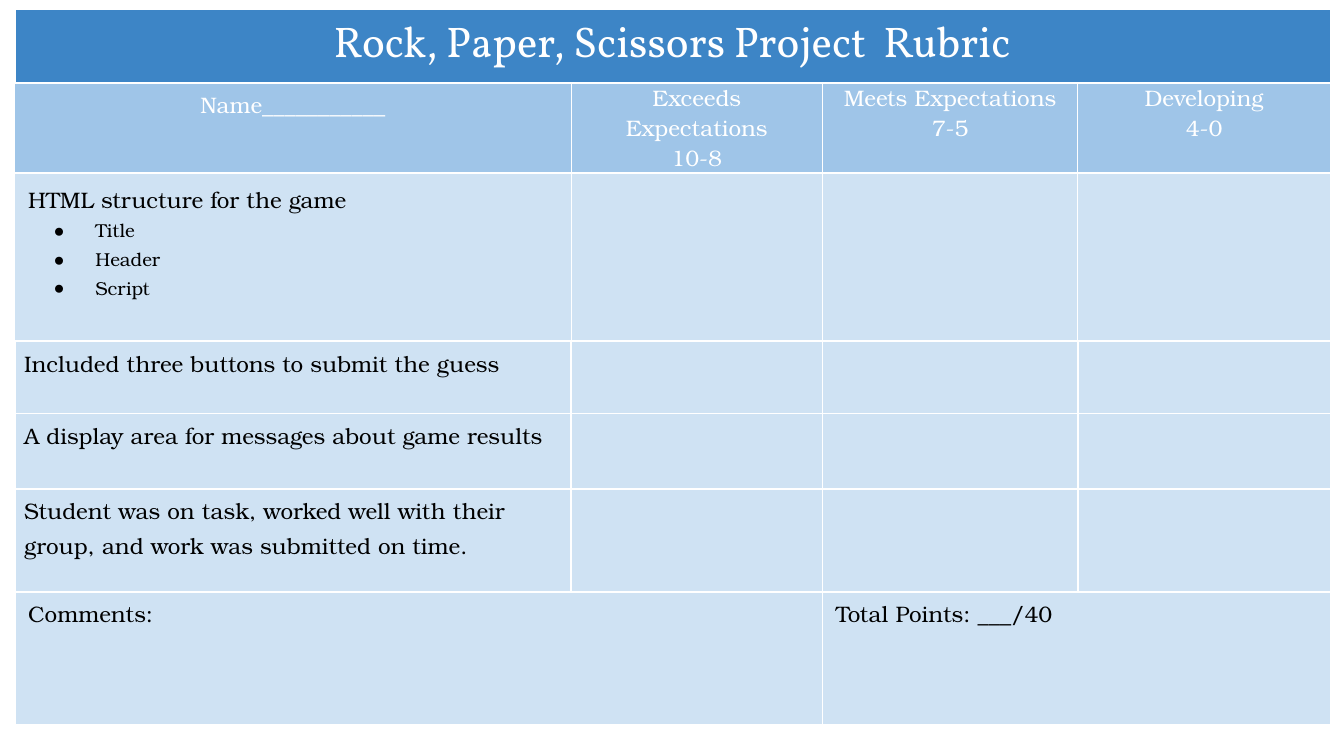
from dataclasses import dataclass

from lxml import etree
from pptx import Presentation
from pptx.dml.color import RGBColor
from pptx.enum.text import MSO_ANCHOR, PP_ALIGN
from pptx.oxml.ns import qn
from pptx.util import Inches, Pt

CENTER, LEFT = PP_ALIGN.CENTER, PP_ALIGN.LEFT
TOP = MSO_ANCHOR.TOP

WHITE = RGBColor(0xFF, 0xFF, 0xFF)
BLACK = RGBColor(0x00, 0x00, 0x00)
TITLE_BLUE = RGBColor(0x3D, 0x85, 0xC6)
HEADER_BLUE = RGBColor(0x9F, 0xC5, 0xE8)
BODY_BLUE = RGBColor(0xCF, 0xE2, 0xF3)

TITLE_FONT = "Vollkorn"
BODY_FONT = "TeX Gyre Bonum"

SLIDE_WIDTH = 10
SLIDE_HEIGHT = SLIDE_WIDTH * 9 / 16
COL_WIDTHS = [4.14, 1.87, 1.9, 1.88]
ROW_HEIGHTS = [0.54, 0.67, 1.25, 0.54, 0.56, 0.77, 0.99]
TABLE_LEFT, TABLE_TOP = 0.11, 0.07
WIDE = (0.1, 0.05)
TIGHT = (0.07, 0)
CRITERION = (0.07, 0.02)


@dataclass
class RubricCell:
    row: int
    col: int
    text: str
    inset: tuple[float, float] = WIDE
    align: PP_ALIGN = LEFT
    color: RGBColor = BLACK
    font: str = BODY_FONT
    size: float = 12
    spacing: float = 1.0
    span: int = 1
    bullets: tuple[str, ...] = ()


CELLS = [
    RubricCell(0, 0, "Rock, Paper, Scissors Project  Rubric", align=CENTER,
               color=WHITE, font=TITLE_FONT, size=23, span=4),
    RubricCell(1, 0, "Name___________", align=CENTER, color=WHITE),
    RubricCell(2, 0, "HTML structure for the game", spacing=1.15,
               bullets=("Title", "Header", "Script")),
    RubricCell(6, 0, "Comments:", span=2),
    RubricCell(6, 2, "Total Points: ___/40", span=2),
]
LEVELS = ["Exceeds Expectations\n10-8", "Meets Expectations\n7-5", "Developing\n4-0"]
CRITERIA = [
    "Included three buttons to submit the guess",
    "A display area for messages about game results",
    "Student was on task, worked well with their group, and work was submitted on time.",
]
CELLS += [RubricCell(1, i, text, TIGHT, CENTER, WHITE)
          for i, text in enumerate(LEVELS, 1)]
CELLS += [RubricCell(i, 0, text, CRITERION, spacing=1.15)
          for i, text in enumerate(CRITERIA, 3)]


def style_cell(cell, fill: RGBColor, border: float) -> None:
    tcPr = cell._tc.get_or_add_tcPr()
    for side in ("lnL", "lnR", "lnT", "lnB"):
        ln = etree.SubElement(tcPr, qn(f"a:{side}"), w=str(Pt(border)))
        solid = etree.SubElement(ln, qn("a:solidFill"))
        etree.SubElement(solid, qn("a:srgbClr"), val=str(WHITE))
    cell.fill.solid()
    cell.fill.fore_color.rgb = fill


def add_bullet(p) -> None:
    pPr = p._p.get_or_add_pPr()
    pPr.set("marL", str(Inches(0.5)))
    pPr.set("indent", str(Inches(-0.32)))
    color = etree.SubElement(pPr, qn("a:buClr"))
    etree.SubElement(color, qn("a:srgbClr"), val=str(BLACK))
    etree.SubElement(pPr, qn("a:buFont"), typeface=BODY_FONT)
    etree.SubElement(pPr, qn("a:buChar"), char="●")


def write_cell(table, item: RubricCell) -> None:
    cell = table.cell(item.row, item.col)
    if item.span > 1:
        cell.merge(table.cell(item.row, item.col + item.span - 1))
    cell.vertical_anchor = TOP
    cell.margin_left = cell.margin_right = Inches(item.inset[0])
    cell.margin_top = cell.margin_bottom = Inches(item.inset[1])
    tf = cell.text_frame
    tf.text = "\n".join((item.text, *item.bullets))
    first_bullet = len(tf.paragraphs) - len(item.bullets)
    for i, p in enumerate(tf.paragraphs):
        p.alignment = item.align
        p.line_spacing = item.spacing
        is_bullet = i >= first_bullet
        if is_bullet:
            add_bullet(p)
        for r in p.runs:
            r.font.name = item.font
            r.font.size = Pt(10 if is_bullet else item.size)
            r.font.color.rgb = item.color


def add_rubric(slide) -> None:
    frame = slide.shapes.add_table(
        len(ROW_HEIGHTS), len(COL_WIDTHS), Inches(TABLE_LEFT), Inches(TABLE_TOP),
        Inches(sum(COL_WIDTHS)), Inches(sum(ROW_HEIGHTS)))
    table = frame.table
    table.first_row = table.horz_banding = False
    for column, width in zip(table.columns, COL_WIDTHS):
        column.width = Inches(width)
    fills = [TITLE_BLUE, HEADER_BLUE] + [BODY_BLUE] * 5
    for i, (row, height) in enumerate(zip(table.rows, ROW_HEIGHTS)):
        row.height = Inches(height)
        for cell in row.cells:
            style_cell(cell, fills[i], 0.75 if i in (1, 2) else 1)
    for item in CELLS:
        write_cell(table, item)


def main() -> None:
    prs = Presentation()
    prs.slide_width, prs.slide_height = Inches(SLIDE_WIDTH), Inches(SLIDE_HEIGHT)
    slide = prs.slides.add_slide(prs.slide_layouts[6])
    add_rubric(slide)
    prs.save("out.pptx")


if __name__ == "__main__":
    main()
